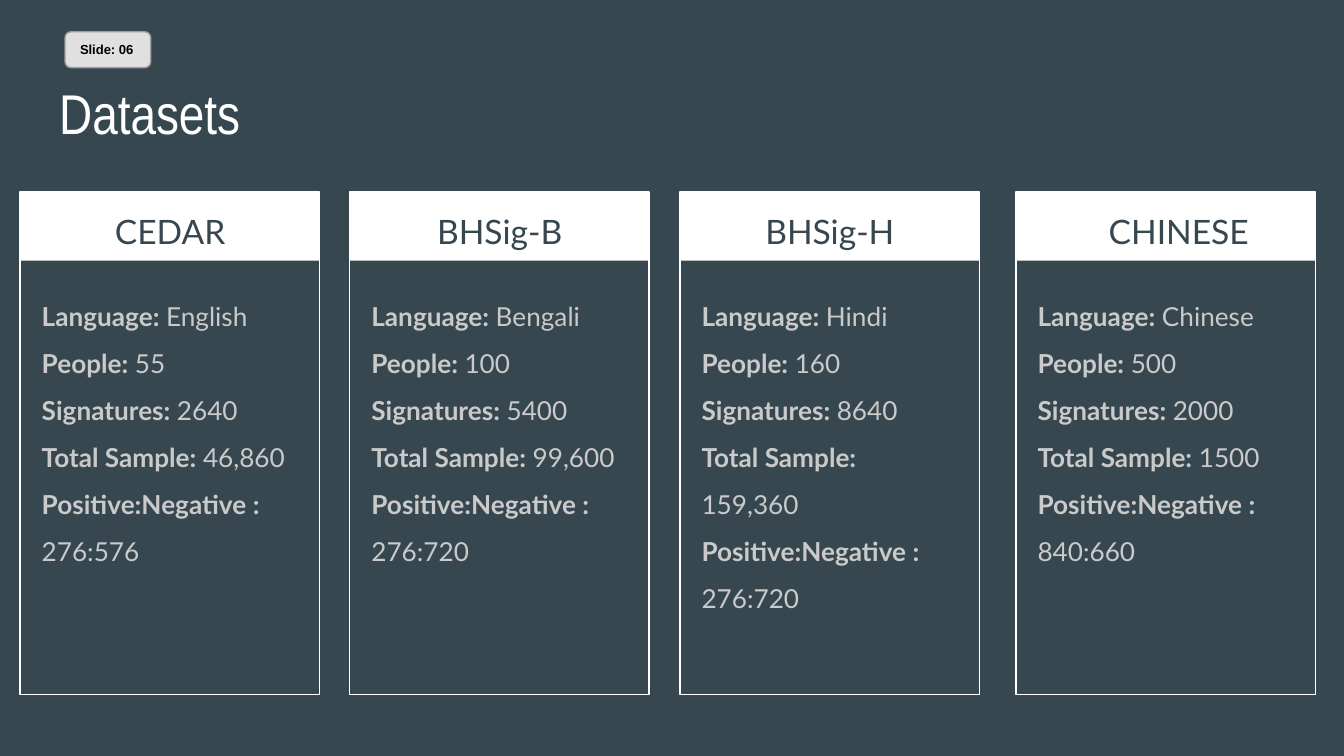
from dataclasses import dataclass

from pptx import Presentation
from pptx.dml.color import RGBColor
from pptx.enum.shapes import MSO_SHAPE
from pptx.enum.text import MSO_ANCHOR, PP_ALIGN
from pptx.util import Cm, Pt


@dataclass(frozen=True)
class Theme:
    background: RGBColor = RGBColor(0x37, 0x47, 0x4F)
    white: RGBColor = RGBColor(0xFF, 0xFF, 0xFF)
    body_text: RGBColor = RGBColor(0xCA, 0xCA, 0xCA)
    tag_fill: RGBColor = RGBColor(0xE0, 0xE0, 0xE0)
    tag_line: RGBColor = RGBColor(0x9E, 0x9E, 0x9E)
    tag_text: RGBColor = RGBColor(0, 0, 0)
    title_font: str = "Arial Narrow"
    card_font: str = "Lato"
    tag_font: str = "Arial"
    title_size: Pt = Pt(30)
    header_size: Pt = Pt(18)
    body_size: Pt = Pt(14)
    tag_size: Pt = Pt(7)
    line_width: Pt = Pt(0.75)


THEME = Theme()
INSET = Cm(0.25)
CARD_TOP, CARD_WIDTH, CARD_HEIGHT = Cm(3.63), Cm(5.66), Cm(9.5)
HEADER_HEIGHT = Cm(1.3)

LABELS = ("Language: ", "People: ", "Signatures: ", "Total Sample: ", "Positive:Negative : ")
# left edge (cm), name, extra left inset of the name (cm), values in the order of LABELS
DATASETS = (
    (0.38, "CEDAR", 0, ("English", "55", "2640", "46,860", "276:576")),
    (6.61, "BHSig-B", 0, ("Bengali", "100", "5400", "99,600", "276:720")),
    (12.85, "BHSig-H", 0, ("Hindi", "160", "8640", "159,360", "276:720")),
    (19.2, "CHINESE", 0.49, ("Chinese", "500", "2000", "1500", "840:660")),
)


def set_font(paragraph, name, size, color, bold=None):
    font = paragraph.font
    font.name, font.size, font.bold = name, size, bold
    font.color.rgb = color


def set_insets(frame):
    frame.margin_left = frame.margin_right = INSET
    frame.margin_top = frame.margin_bottom = INSET


def add_text_box(slide, left, top, width, height):
    """Add an empty wrapping text box and return its text frame."""
    frame = slide.shapes.add_textbox(left, top, width, height).text_frame
    frame.word_wrap = True
    set_insets(frame)
    return frame


def add_box(shapes, kind, left, top, width, height, fill=None, line=None):
    shape = shapes.add_shape(kind, left, top, width, height)
    shape.shadow.inherit = False
    if fill is None:
        shape.fill.background()
    else:
        shape.fill.solid()
        shape.fill.fore_color.rgb = fill
    if line is None:
        shape.line.fill.background()
    else:
        shape.line.color.rgb = line
        shape.line.width = THEME.line_width
    return shape


def add_title(slide, text):
    frame = add_text_box(slide, Cm(0.87), Cm(1.24), Cm(23.67), Cm(1.6))
    paragraph = frame.paragraphs[0]
    paragraph.text = text
    set_font(paragraph, THEME.title_font, THEME.title_size, THEME.white)


def add_slide_tag(slide, text):
    shape = add_box(slide.shapes, MSO_SHAPE.ROUNDED_RECTANGLE, Cm(1.23), Cm(0.6),
                    Cm(1.62), Cm(0.68), THEME.tag_fill, THEME.tag_line)
    frame = shape.text_frame
    frame.word_wrap = False
    frame.vertical_anchor = MSO_ANCHOR.MIDDLE
    set_insets(frame)
    paragraph = frame.paragraphs[0]
    paragraph.text = text
    paragraph.alignment = PP_ALIGN.LEFT
    set_font(paragraph, THEME.tag_font, THEME.tag_size, THEME.tag_text, bold=True)


def add_card_frame(slide, left):
    shapes = slide.shapes.add_group_shape().shapes
    add_box(shapes, MSO_SHAPE.RECTANGLE, left, CARD_TOP, CARD_WIDTH, HEADER_HEIGHT,
            fill=THEME.white)
    add_box(shapes, MSO_SHAPE.RECTANGLE, left, CARD_TOP, CARD_WIDTH, CARD_HEIGHT,
            line=THEME.white)


def add_card_header(slide, left, name, extra_inset):
    frame = add_text_box(slide, left + Cm(0.32), CARD_TOP, Cm(5.03), Cm(1.27))
    frame.margin_left = INSET + Cm(extra_inset)
    paragraph = frame.paragraphs[0]
    paragraph.text = name
    paragraph.alignment = PP_ALIGN.CENTER
    paragraph.line_spacing = 1.15
    set_font(paragraph, THEME.card_font, THEME.header_size, THEME.background)


def add_card_facts(slide, left, values):
    frame = add_text_box(slide, left + Cm(0.16), Cm(5.13), Cm(5.36), Cm(7.77))
    for index, (label, value) in enumerate(zip(LABELS, values)):
        paragraph = frame.add_paragraph() if index else frame.paragraphs[0]
        paragraph.line_spacing = 1.5
        set_font(paragraph, THEME.card_font, THEME.body_size, THEME.body_text)
        for text, bold in ((label, True), (value, False)):
            run = paragraph.add_run()
            run.text = text
            run.font.bold = bold


def main():
    presentation = Presentation()
    presentation.slide_width, presentation.slide_height = Cm(25.4), Cm(14.29)
    slide = presentation.slides.add_slide(presentation.slide_layouts[6])
    slide.background.fill.solid()
    slide.background.fill.fore_color.rgb = THEME.background

    add_title(slide, "Datasets")
    for left, name, extra_inset, values in DATASETS:
        add_card_frame(slide, Cm(left))
        add_card_header(slide, Cm(left), name, extra_inset)
        add_card_facts(slide, Cm(left), values)
    add_slide_tag(slide, "Slide: 06")

    presentation.save("out.pptx")


if __name__ == "__main__":
    main()
